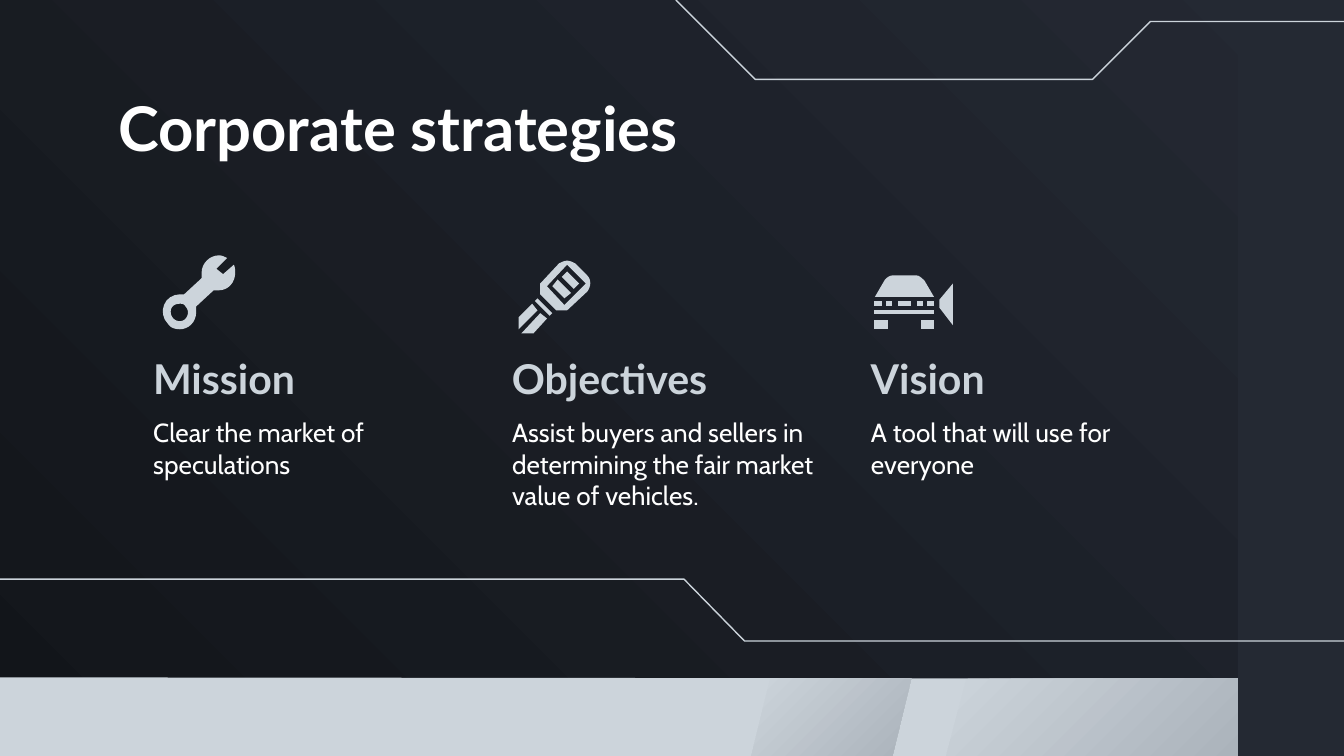
from dataclasses import dataclass

from pptx import Presentation
from pptx.dml.color import RGBColor
from pptx.enum.shapes import MSO_SHAPE
from pptx.enum.text import MSO_ANCHOR, MSO_AUTO_SIZE, PP_ALIGN
from pptx.util import Inches, Pt

RECTANGLE = MSO_SHAPE.RECTANGLE
TOP, BOTTOM = MSO_ANCHOR.TOP, MSO_ANCHOR.BOTTOM
LEFT = PP_ALIGN.LEFT
NO_FIT = MSO_AUTO_SIZE.NONE


@dataclass(frozen=True)
class Theme:
    dark: str = "12151A"
    slate: str = "242933"
    silver: str = "CCD4DB"
    steel: str = "ABB3BB"
    white: str = "FFFFFF"
    display: str = "Lato"
    text: str = "Cabin"
    title_size: float = 33
    heading_size: float = 22
    body_size: float = 14
    line_width: float = 0.75


THEME = Theme()
WIDTH = 10
HEIGHT = WIDTH * 9 / 16
COLUMN_LEFT, COLUMN_STEP, COLUMN_WIDTH = 1.04, 2.67, 2.45
PANEL_LEFT, BAND_TOP = 9.21, 5.05

STRATEGIES = [
    ("Mission", "Clear the market of speculations"),
    ("Objectives", "Assist buyers and sellers in determining the fair market value of vehicles."),
    ("Vision", "A tool that will use for everyone"),
]

WRENCH = [[
    [(1.34, 2.26), (1.35, 2.26, 1.37, 2.26, 1.38, 2.28), (1.42, 2.32, 1.39, 2.39, 1.34, 2.39),
     (1.3, 2.39, 1.27, 2.36, 1.27, 2.32), (1.27, 2.28, 1.3, 2.26, 1.34, 2.26)],
    [(1.63, 1.9), (1.56, 1.9, 1.5, 1.96, 1.5, 2.03), (1.5, 2.07), (1.37, 2.19), (1.34, 2.19),
     (1.22, 2.19, 1.17, 2.33, 1.25, 2.41), (1.27, 2.44, 1.3, 2.45, 1.34, 2.45),
     (1.4, 2.45, 1.46, 2.4, 1.46, 2.32), (1.46, 2.28), (1.59, 2.16), (1.63, 2.16),
     (1.7, 2.16, 1.75, 2.1, 1.75, 2.03), (1.75, 2.01, 1.75, 1.99, 1.74, 1.97),
     (1.66, 2.04), (1.61, 2), (1.69, 1.92), (1.67, 1.91, 1.65, 1.9, 1.63, 1.9)],
]]

KEY = [
    [[(4.15, 2.08), (4.11, 2.13), (4.2, 2.22), (4.25, 2.18)]],
    [[(4.22, 2.02), (4.18, 2.06), (4.27, 2.15), (4.31, 2.11)]],
    [[(4.22, 1.97), (4.36, 2.11), (4.2, 2.27), (4.07, 2.13)],
     [(4.22, 1.94), (4.2, 1.94, 4.18, 1.95, 4.16, 1.96), (4.02, 2.11), (4.02, 2.19),
      (4.14, 2.31), (4.22, 2.31), (4.37, 2.17), (4.4, 2.13, 4.4, 2.08, 4.37, 2.05),
      (4.28, 1.96), (4.26, 1.95, 4.24, 1.94, 4.22, 1.94)]],
    [[(3.96, 2.26), (3.86, 2.36), (3.86, 2.45), (4, 2.31)]],
    [[(4, 2.22), (3.98, 2.24), (4.09, 2.35), (4.11, 2.33)]],
    [[(4.02, 2.33), (3.88, 2.48), (3.97, 2.48), (4.07, 2.37)]],
]

CAR_BODY = [
    [[(6.64, 2.05), (6.62, 2.05, 6.59, 2.07, 6.58, 2.09), (6.51, 2.21), (6.95, 2.21),
      (6.88, 2.09), (6.86, 2.07, 6.84, 2.05, 6.82, 2.05)]],
    [[(7.09, 2.11), (6.99, 2.23), (6.99, 2.29), (7.09, 2.42)]],
]
CAR_ROWS = [
    (2.24, 2.28, [(6.5, 6.56), (6.59, 6.64), (6.68, 6.78), (6.82, 6.87), (6.9, 6.95)]),
    (2.31, 2.34, [(6.5, 6.95)]),
    (2.38, 2.45, [(6.5, 6.61), (6.85, 6.95)]),
]

TOP_TRACE = [(5.03, 0), (5.62, 0.59), (8.13, 0.59), (8.56, 0.16), (WIDTH, 0.16)]
BOTTOM_TRACE = [(0, 4.31), (5.09, 4.31), (5.54, 4.77), (WIDTH, 4.77)]


def rgb(color):
    return RGBColor.from_string(color)


def set_gradient(fill, colors, angle):
    fill.gradient()
    fill.gradient_angle = angle
    for stop, color in zip(fill.gradient_stops, colors):
        stop.color.rgb = rgb(color)


def set_solid(fill, color):
    fill.solid()
    fill.fore_color.rgb = rgb(color)


def flatten(contour, steps=8):
    points = [contour[0]]
    for node in contour[1:]:
        if len(node) == 2:
            points.append(node)
            continue
        a, b, c, d = points[-1], node[:2], node[2:4], node[4:]
        for t in (i / steps for i in range(1, steps + 1)):
            u = 1 - t
            points.append(tuple(
                u**3 * a[k] + 3 * u * u * t * b[k] + 3 * u * t * t * c[k] + t**3 * d[k]
                for k in (0, 1)))
    return [(Inches(x), Inches(y)) for x, y in points]


def add_outline(slide, contours, close=True):
    first, *rest = [flatten(contour) for contour in contours]
    builder = slide.shapes.build_freeform(*first[0])
    builder.add_line_segments(first[1:], close=close)
    for points in rest:
        builder.move_to(*points[0])
        builder.add_line_segments(points[1:], close=close)
    sp = builder.convert_to_shape()
    sp.shadow.inherit = False
    return sp


def add_polygon(slide, contours, color=THEME.silver):
    sp = add_outline(slide, contours)
    set_solid(sp.fill, color)
    sp.line.fill.background()
    return sp


def add_trace(slide, points):
    sp = add_outline(slide, [points], close=False)
    sp.fill.background()
    sp.line.color.rgb = rgb(THEME.silver)
    sp.line.width = Pt(THEME.line_width)


def add_icon(slide, polygons):
    parts = [add_polygon(slide, contours) for contours in polygons]
    if len(parts) > 1:
        slide.shapes.add_group_shape(parts)


def place(sp, left, top, width, height):
    sp.left, sp.top, sp.width, sp.height = map(Inches, (left, top, width, height))


def write(sp, text, *, font, size, color=THEME.white, bold=False, anchor=TOP):
    tf = sp.text_frame
    tf.word_wrap = True
    tf.auto_size = NO_FIT
    tf.vertical_anchor = anchor
    tf.margin_left = tf.margin_right = tf.margin_top = tf.margin_bottom = Inches(0.1)
    p = tf.paragraphs[0]
    p.alignment = LEFT
    p.space_before = p.space_after = Pt(0)
    pPr = p._p.get_or_add_pPr()
    pPr.set("marL", "0")
    pPr.set("indent", "0")
    pPr.append(pPr.makeelement(
        "{http://schemas.openxmlformats.org/drawingml/2006/main}buNone", {}))
    r = p.add_run()
    r.text = text
    r.font.name, r.font.size, r.font.bold = font, Pt(size), bold
    r.font.color.rgb = rgb(color)


def add_backdrop(slide):
    set_gradient(slide.background.fill, (THEME.dark, THEME.slate), 45)
    panel = slide.shapes.add_shape(
        RECTANGLE, Inches(PANEL_LEFT), 0, Inches(WIDTH - PANEL_LEFT), Inches(HEIGHT))
    panel.shadow.inherit = False
    set_solid(panel.fill, THEME.slate)
    panel.line.fill.background()
    add_polygon(slide, [[(0, 5.04), (0, HEIGHT), (PANEL_LEFT, HEIGHT), (PANEL_LEFT, BAND_TOP)]])
    for top_left, top_right, foot_left, foot_right in (
            (5.73, 6.78, 5.59, 6.64), (7.19, PANEL_LEFT, 7.04, PANEL_LEFT)):
        facet = add_polygon(slide, [[(top_left, BAND_TOP), (foot_left, HEIGHT),
                                     (foot_right, HEIGHT), (top_right, BAND_TOP)]])
        set_gradient(facet.fill, (THEME.silver, THEME.steel), 315)
    add_trace(slide, TOP_TRACE)
    add_trace(slide, BOTTOM_TRACE)


def add_strategy(slide, column, body, heading, text):
    left = COLUMN_LEFT + column * COLUMN_STEP
    box = slide.shapes.add_textbox(0, 0, 0, 0)
    place(box, left, 2.65, COLUMN_WIDTH, 0.45)
    write(box, heading, font=THEME.display, size=THEME.heading_size,
          color=THEME.silver, bold=True, anchor=BOTTOM)
    place(body, left, 3, COLUMN_WIDTH, 0.94)
    write(body, text, font=THEME.text, size=THEME.body_size)


def main():
    prs = Presentation()
    prs.slide_width, prs.slide_height = Inches(WIDTH), Inches(HEIGHT)
    slide = prs.slides.add_slide(prs.slide_layouts.get_by_name("Comparison"))
    title, *bodies = list(slide.placeholders)
    add_backdrop(slide)
    place(title, 0.78, 0.57, 8.44, 0.63)
    write(title, "Corporate strategies", font=THEME.display, size=THEME.title_size, bold=True)
    for column, (heading, text) in enumerate(STRATEGIES):
        add_strategy(slide, column, bodies[column], heading, text)
    for spare in bodies[len(STRATEGIES):]:
        spare.element.getparent().remove(spare.element)
    bars = [[[(left, top), (left, foot), (right, foot), (right, top)]]
            for top, foot, spans in CAR_ROWS for left, right in spans]
    for icon in (WRENCH, KEY, CAR_BODY + bars):
        add_icon(slide, icon)
    prs.save("out.pptx")


if __name__ == "__main__":
    main()
